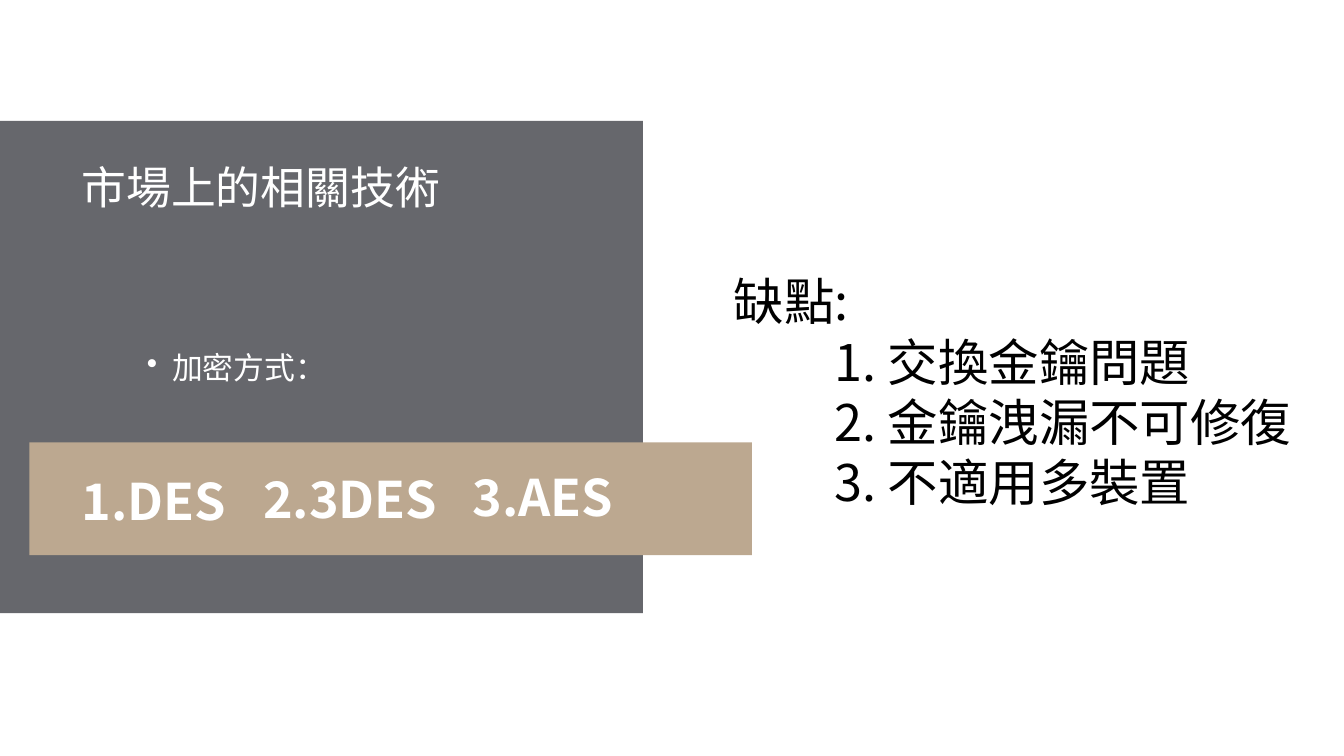
from dataclasses import dataclass

from lxml.etree import SubElement
from pptx import Presentation
from pptx.dml.color import RGBColor
from pptx.enum.shapes import MSO_SHAPE
from pptx.enum.text import MSO_ANCHOR, MSO_AUTO_SIZE, PP_ALIGN
from pptx.oxml.ns import qn
from pptx.util import Cm, Pt


@dataclass(frozen=True)
class Theme:
    gray: str = "66676C"
    tan: str = "BCA890"
    white: str = "FFFFFF"
    black: str = "000000"
    font: str = "Noto Sans CJK SC"
    bullet_font: str = "Quicksand"
    title: int = 32
    body: int = 36
    bullet: int = 22


class SlideBuilder:
    def __init__(self, s, theme):
        self.s = s
        self.theme = theme

    def bar(self, x, y, w, h, color):
        sp = self.s.shapes.add_shape(MSO_SHAPE.RECTANGLE, Cm(x), Cm(y), Cm(w), Cm(h))
        sp.shadow.inherit = False
        sp.fill.solid()
        sp.fill.fore_color.rgb = RGBColor.from_string(color)
        sp.line.fill.background()

    def run(self, p, text, size, color, bold=False, font=None):
        r = p.add_run()
        r.text = text
        r.font.size = Pt(size)
        r.font.bold = bold
        r.font.color.rgb = RGBColor.from_string(color)
        r.font.name = font or self.theme.font
        SubElement(r.font._element, qn("a:ea"), typeface=r.font.name)

    def indent(self, p, left, first=0, bullet=None):
        pPr = p._p.get_or_add_pPr()
        pPr.set("marL", str(Cm(left)))
        pPr.set("indent", str(Cm(first)))
        if bullet:
            SubElement(pPr, qn("a:buChar"), char=bullet)
        else:
            SubElement(pPr, qn("a:buNone"))

    def place(self, sp, x, y, w, h):
        sp.left, sp.top, sp.width, sp.height = Cm(x), Cm(y), Cm(w), Cm(h)
        # Bring to the front, above the bars
        self.s.shapes._spTree.append(sp._element)
        tf = sp.text_frame
        tf.word_wrap = True
        tf.auto_size = MSO_AUTO_SIZE.NONE
        tf.vertical_anchor = MSO_ANCHOR.TOP
        return tf

    def title(self, text, *box):
        p = self.place(self.s.shapes.title, *box).paragraphs[0]
        p.alignment = PP_ALIGN.JUSTIFY
        p.line_spacing = 0.9
        self.run(p, text, self.theme.title, self.theme.white)

    def body(self, heading, items, *box):
        tf = self.place(self.s.placeholders[1], *box)
        lines = [(heading, 0)]
        lines += [(f"{n}. {item}", 2.54) for n, item in enumerate(items, 1)]
        for i, (text, left) in enumerate(lines):
            p = tf.add_paragraph() if i else tf.paragraphs[0]
            self.indent(p, left)
            p.space_before = Pt(0)
            self.run(p, text, self.theme.body, self.theme.black)

    def text_box(self, x, y, w, h, wrap=True):
        tf = self.s.shapes.add_textbox(Cm(x), Cm(y), Cm(w), Cm(h)).text_frame
        tf.word_wrap = wrap
        tf.auto_size = MSO_AUTO_SIZE.SHAPE_TO_FIT_TEXT
        return tf.paragraphs[0]

    def label(self, text, *box):
        p = self.text_box(*box)
        self.run(p, text, self.theme.body, self.theme.white, bold=True)

    def bullet(self, text, *box):
        p = self.text_box(*box, wrap=False)
        self.indent(p, 0.64, -0.64, "•")
        p.line_spacing = 0.9
        self.run(p, text, self.theme.bullet, self.theme.white,
                 font=self.theme.bullet_font)


def main():
    prs = Presentation()
    prs.slide_width, prs.slide_height = Cm(33.87), Cm(19.05)
    theme = Theme()
    b = SlideBuilder(prs.slides.add_slide(prs.slide_layouts[1]), theme)

    # Background bars
    b.bar(0, 3.05, 16.2, 12.4, theme.gray)
    b.bar(0.74, 11.15, 18.21, 2.84, theme.tan)

    # Title and drawbacks
    b.title("市場上的相關技術", 1.8, 4.04, 11.91, 2.16)
    b.body("缺點:", ["交換金鑰問題", "金鑰洩漏不可修復", "不適用多裝置"],
           18.24, 6.68, 14.91, 6.4)

    # Encryption methods
    for text, x, y in (("1.DES", 1.8, 11.73), ("2.3DES", 6.38, 11.68),
                       ("3.AES", 11.66, 11.61)):
        b.label(text, x, y, 6.3, 1.8)
    b.bullet("加密方式：", 3.45, 8.76, 5.08, 1.09)

    prs.save("out.pptx")


if __name__ == "__main__":
    main()
